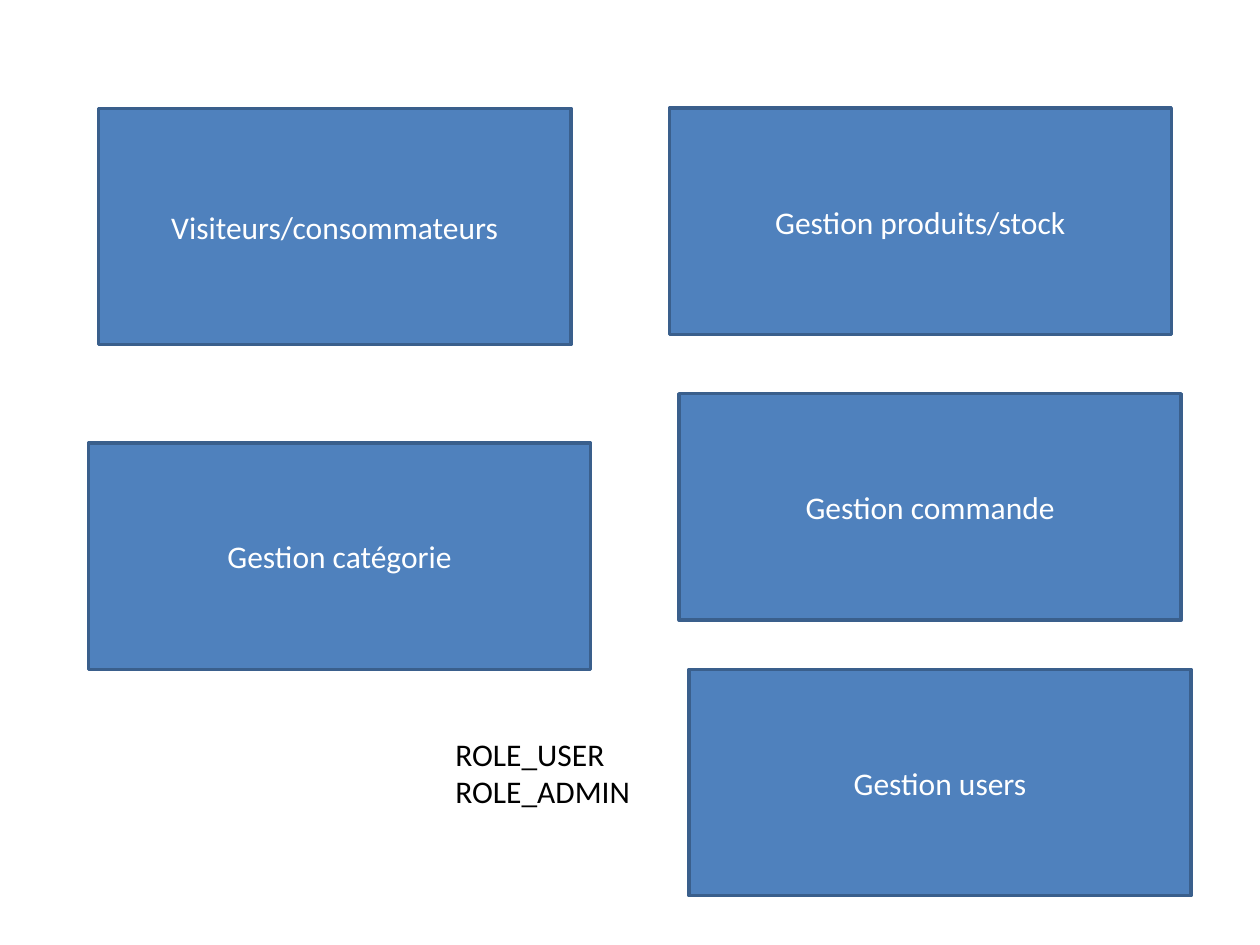
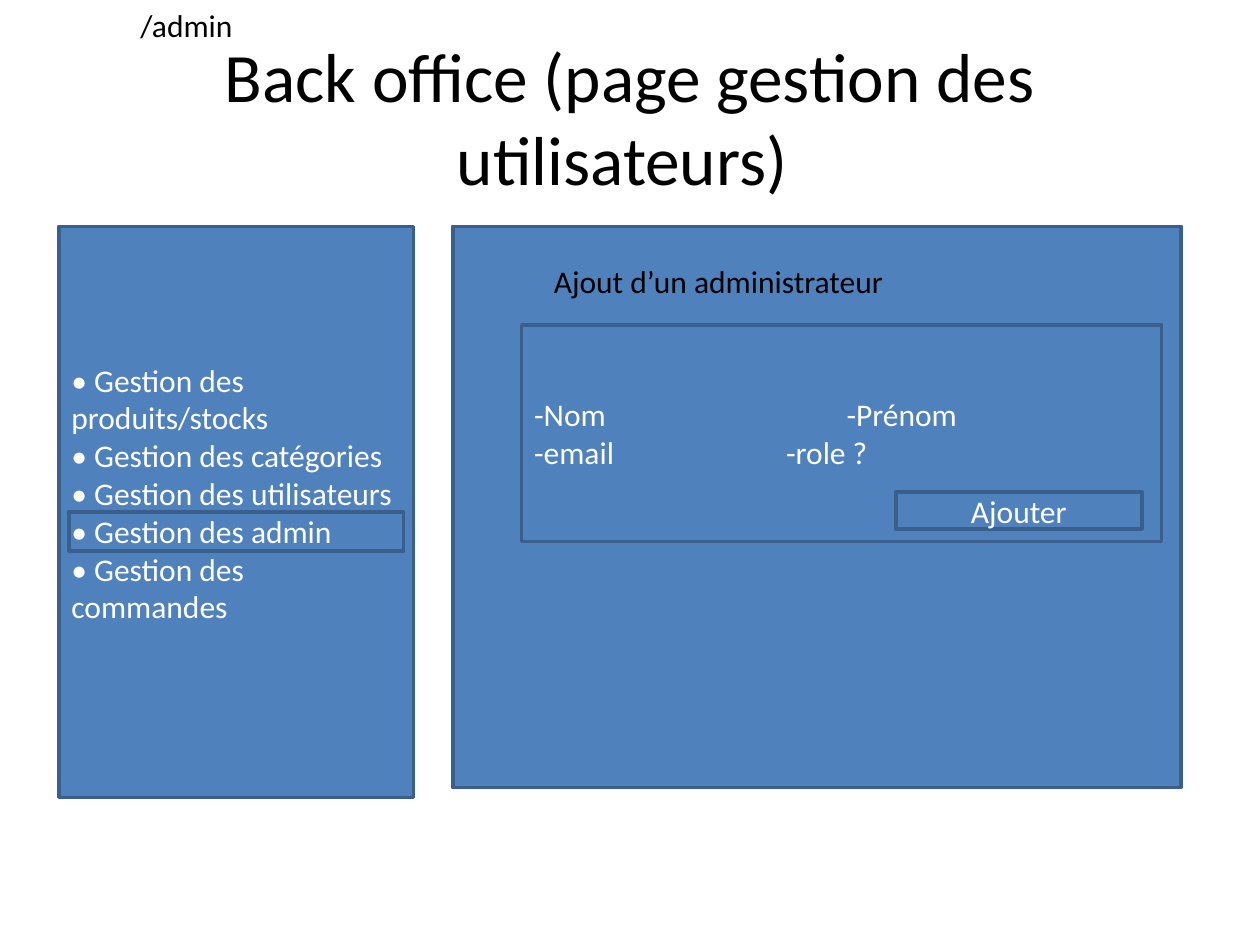
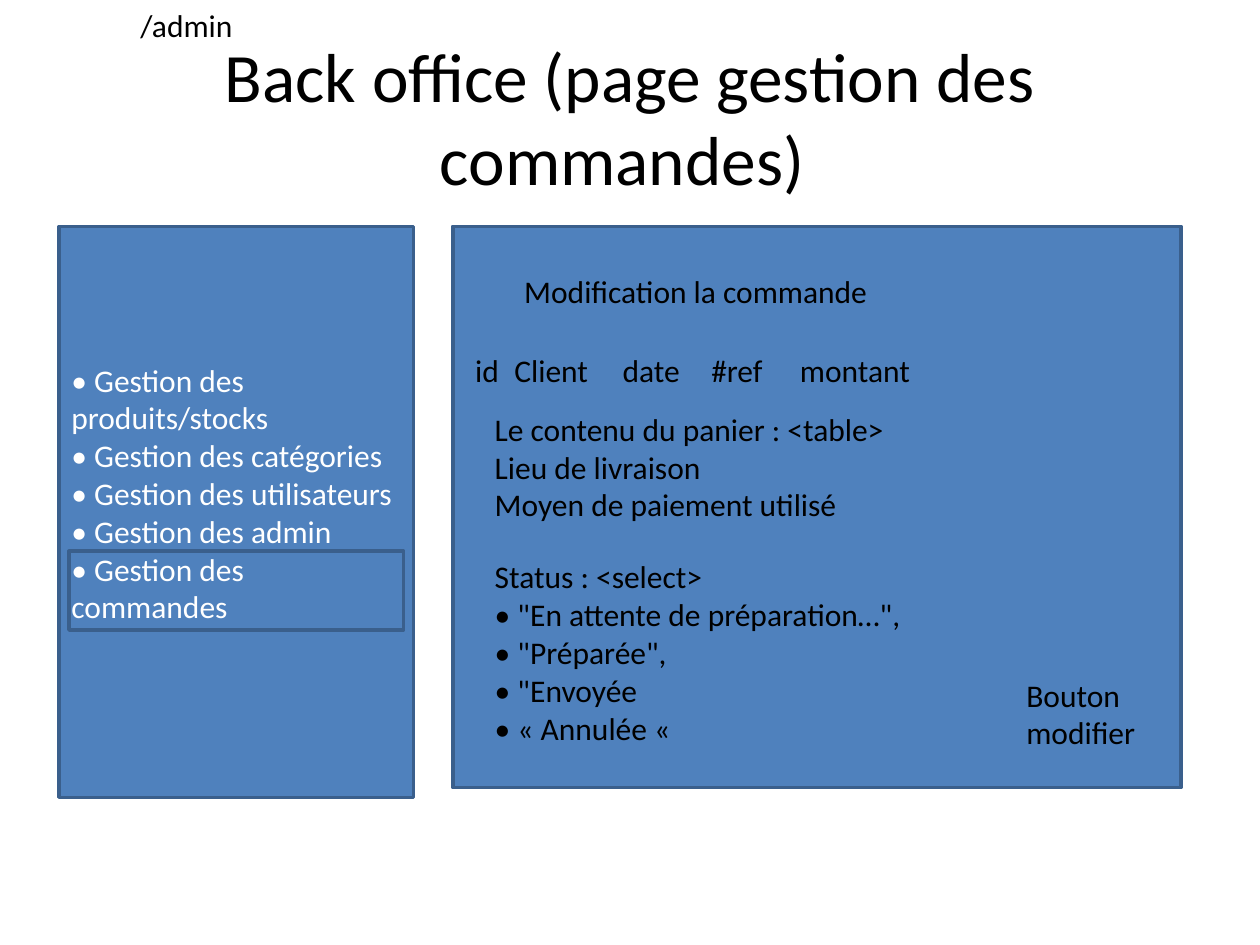
import dataclasses

import lxml.etree
import pptx
import pptx.dml.color
import pptx.enum.shapes
import pptx.enum.text
import pptx.oxml.ns
import pptx.util

SLIDE_WIDTH, SLIDE_HEIGHT = pptx.util.Inches(10), pptx.util.Inches(7.5)
COLUMNS, ROWS = 128, 96
ANCHOR = pptx.enum.text.MSO_ANCHOR
ALIGN = pptx.enum.text.PP_ALIGN


@dataclasses.dataclass(frozen=True)
class Theme:
    font: str = "Calibri"
    fill: str = "4F81BD"
    outline: str = "3A5F8C"
    light: str = "FFFFFF"
    dark: str = "000000"
    outline_width: float = 2
    body_size: float = 18
    title_size: float = 39.6


@dataclasses.dataclass(frozen=True)
class Box:
    """A rectangle measured in columns and rows of the slide grid."""
    column: float
    row: float
    width: float
    height: float

    def inside(self, column, row, width, height):
        return Box(self.column + column, self.row + row, width, height)

    def lengths(self):
        column, row = SLIDE_WIDTH / COLUMNS, SLIDE_HEIGHT / ROWS
        return [round(length) for length in (
            self.column * column, self.row * row, self.width * column, self.height * row)]


THEME = Theme()
TITLE_BOX = Box(6.4, 3.84, 115.2, 16)
MENU_BOX = Box(6, 23, 36, 58)
PANEL_BOX = Box(46, 23, 74, 57)
MENU_ITEMS = [
    "• Gestion des produits/stocks",
    "• Gestion des catégories",
    "• Gestion des utilisateurs",
    "• Gestion des admin",
    "• Gestion des commandes",
]
MODULES = [
    ("Visiteurs/consommateurs", Box(10, 11, 48, 24)),
    ("Gestion produits/stock", Box(68, 11, 51, 23)),
    ("Gestion commande", Box(69, 40, 51, 23)),
    ("Gestion catégorie", Box(9, 45, 51, 23)),
    ("Gestion users", Box(70, 68, 51, 23)),
]
ORDER_FIELDS = [("id", 1, 7), ("Client", 5, 13), ("date", 16, 14), ("#ref", 25, 14), ("montant", 34, 15)]


def color(value):
    return pptx.dml.color.RGBColor.from_string(value)


def write_text(shape, *lines, size=THEME.body_size, ink=THEME.dark,
               align=ALIGN.LEFT, anchor=ANCHOR.TOP):
    frame = shape.text_frame
    frame.word_wrap = True
    frame.auto_size = pptx.enum.text.MSO_AUTO_SIZE.NONE
    frame.vertical_anchor = anchor
    frame.text = "\n".join(lines)
    for paragraph in frame.paragraphs:
        paragraph.alignment = align
        font = paragraph.runs[0].font
        font.name, font.size = THEME.font, pptx.util.Pt(size)
        font.color.rgb = color(ink)


def add_label(slide, box, column, row, width, *lines):
    """Place dark text in a box as tall as its lines."""
    height = 1.28 + 3.9 * len(lines)
    label = slide.shapes.add_textbox(*box.inside(column, row, width, height).lengths())
    write_text(label, *lines)


def add_rectangle(slide, box, *lines, filled=True, align=ALIGN.CENTER):
    rectangle = slide.shapes.add_shape(pptx.enum.shapes.MSO_SHAPE.RECTANGLE, *box.lengths())
    rectangle.shadow.inherit = False
    if filled:
        rectangle.fill.solid()
        rectangle.fill.fore_color.rgb = color(THEME.fill)
    else:
        rectangle.fill.background()
    rectangle.line.color.rgb = color(THEME.outline)
    rectangle.line.width = pptx.util.Pt(THEME.outline_width)
    if lines:
        write_text(rectangle, *lines, ink=THEME.light, align=align, anchor=ANCHOR.MIDDLE)
    return rectangle


def add_tab_stop(paragraph, position):
    properties = paragraph._p.get_or_add_pPr()
    stops = lxml.etree.SubElement(properties, pptx.oxml.ns.qn("a:tabLst"))
    lxml.etree.SubElement(stops, pptx.oxml.ns.qn("a:tab"),
                          pos=str(pptx.util.Inches(position)), algn="l")


def add_menu(slide, box, selected_row, selected_height):
    menu = add_rectangle(slide, box, *MENU_ITEMS, align=ALIGN.LEFT)
    menu.text_frame.margin_bottom = pptx.util.Inches(0.35)
    add_rectangle(slide, box.inside(1, selected_row, box.width - 2, selected_height), filled=False)


def add_admin_form(slide, box):
    form = add_rectangle(slide, box, "-Nom\t-Prénom", "-email\t-role ?", align=ALIGN.LEFT)
    for paragraph, position in zip(form.text_frame.paragraphs, (2.48, 2)):
        add_tab_stop(paragraph, position)
    add_rectangle(slide, box.inside(38, 17, 25, 3.75), "Ajouter")


def add_user_panel(slide, box):
    add_rectangle(slide, box)
    add_label(slide, box, 9, 3, 61, "Ajout d’un administrateur")
    add_admin_form(slide, box.inside(7, 10, 65, 22))


def add_order_panel(slide, box):
    add_rectangle(slide, box)
    add_label(slide, box, 6, 4, 60, "Modification la commande")
    for field, column, width in ORDER_FIELDS:
        add_label(slide, box, column, 12, width, field)
    add_label(slide, box, 3, 18, 57, "Le contenu du panier : <table>",
              "Lieu de livraison", "Moyen de paiement utilisé")
    add_label(slide, box, 3, 33, 47, "Status : <select>", '• "En attente de préparation…",',
              '• "Préparée",', '• "Envoyée', "• « Annulée «")
    add_label(slide, box, 57, 45, 17, "Bouton", "modifier")


def build_modules_slide(presentation):
    slide = presentation.slides.add_slide(presentation.slide_layouts[6])
    for name, box in MODULES:
        add_rectangle(slide, box, name)
    add_label(slide, Box(0, 0, COLUMNS, ROWS), 45, 74, 28, "ROLE_USER", "ROLE_ADMIN")


def build_office_slide(presentation, title, add_panel, selected_row, selected_height):
    slide = presentation.slides.add_slide(presentation.slide_layouts[5])
    heading = slide.shapes.title
    heading.left, heading.top, heading.width, heading.height = TITLE_BOX.lengths()
    write_text(heading, title, size=THEME.title_size, align=ALIGN.CENTER, anchor=ANCHOR.MIDDLE)
    add_label(slide, Box(0, 0, COLUMNS, ROWS), 13, 0, 12, "/admin")
    add_menu(slide, MENU_BOX, selected_row, selected_height)
    add_panel(slide, PANEL_BOX)


def main():
    presentation = pptx.Presentation()
    presentation.slide_width, presentation.slide_height = SLIDE_WIDTH, SLIDE_HEIGHT
    build_modules_slide(presentation)
    build_office_slide(presentation, "Back office (page gestion des utilisateurs) ",
                       add_user_panel, selected_row=29, selected_height=4)
    build_office_slide(presentation, "Back office (page gestion des commandes) ",
                       add_order_panel, selected_row=33, selected_height=8)
    presentation.save("out.pptx")


if __name__ == "__main__":
    main()
